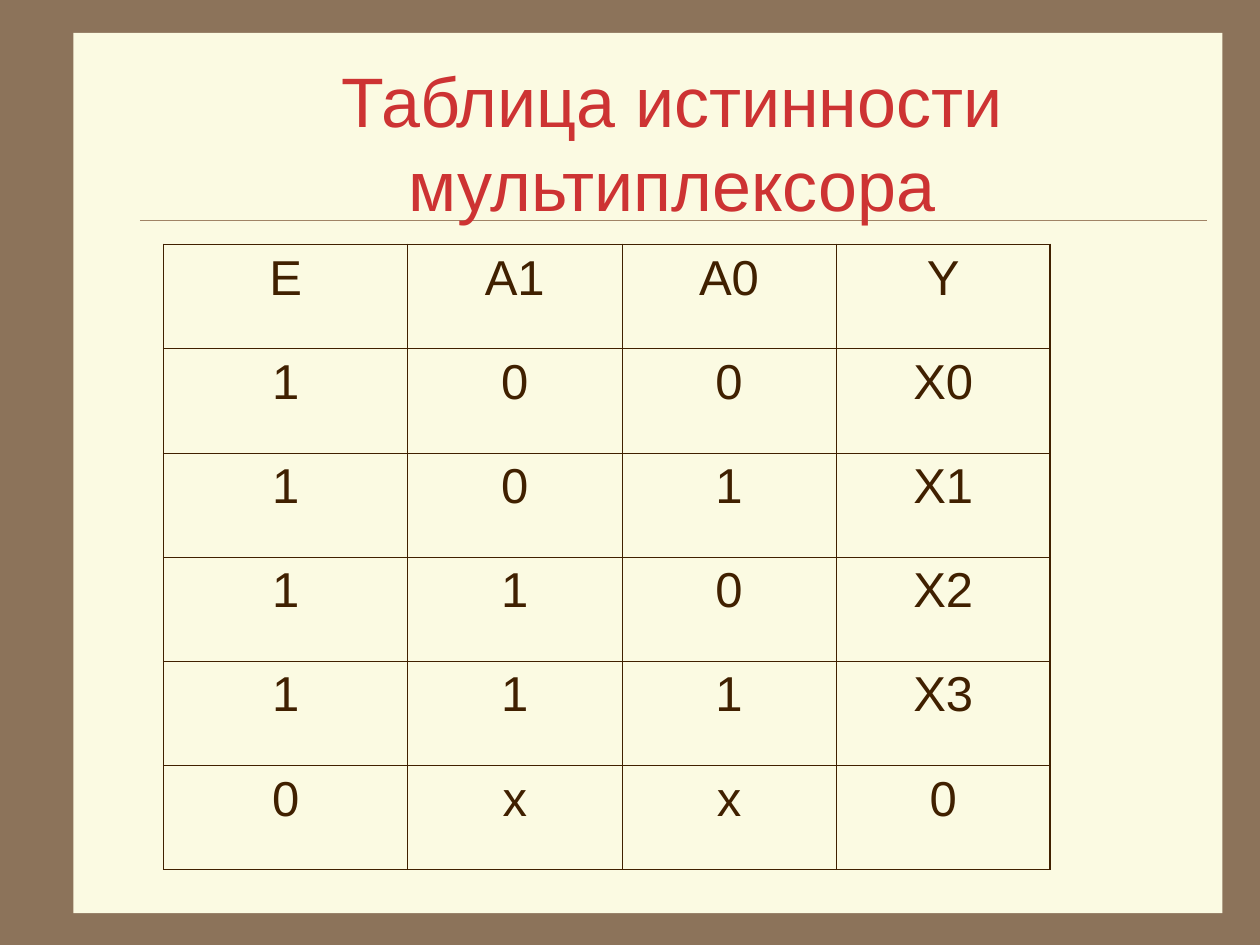
from lxml.etree import SubElement
from pptx import Presentation
from pptx.dml.color import RGBColor
from pptx.enum.shapes import MSO_CONNECTOR, MSO_SHAPE
from pptx.enum.text import MSO_ANCHOR, PP_ALIGN
from pptx.oxml.ns import qn
from pptx.util import Pt

FRAME, PAPER, RULE = "8C735A", "FBFAE2", "A08366"
TITLE, INK = "CD3333", "402000"
FONT = "Arial"
OUTER, INNER = 1.08, 0.45

TRUTH_TABLE = [
    ["E", "A1", "A0", "Y"],
    ["1", "0", "0", "X0"],
    ["1", "0", "1", "X1"],
    ["1", "1", "0", "X2"],
    ["1", "1", "1", "X3"],
    ["0", "x", "x", "0"],
]
COLUMN_WIDTHS = [139.5, 122.4, 122.4, 122.4]
ROW_HEIGHT = 59.55


def color(hex_string):
    return RGBColor.from_string(hex_string)


def write(frame, text, size, ink):
    frame.margin_left = frame.margin_right = Pt(7.2)
    frame.margin_top = frame.margin_bottom = Pt(3.6)
    frame.word_wrap = True
    paragraph = frame.paragraphs[0]
    paragraph.alignment = PP_ALIGN.CENTER
    run = paragraph.add_run()
    run.text = text
    run.font.name = FONT
    run.font.size = Pt(size)
    run.font.color.rgb = color(ink)


def add_paper(slide, left, top, width, height):
    paper = slide.shapes.add_shape(
        MSO_SHAPE.RECTANGLE, Pt(left), Pt(top), Pt(width), Pt(height))
    paper.shadow.inherit = False
    paper.fill.solid()
    paper.fill.fore_color.rgb = color(PAPER)
    paper.line.fill.background()


def add_rule(slide, left, right, y):
    rule = slide.shapes.add_connector(
        MSO_CONNECTOR.STRAIGHT, Pt(left), Pt(y), Pt(right), Pt(y))
    rule.line.color.rgb = color(RULE)
    rule.line.width = Pt(0.25)
    SubElement(rule._element.spPr, qn("a:effectLst"))


def add_title(slide, text, left, top, width, height):
    title = slide.shapes.add_textbox(Pt(left), Pt(top), Pt(width), Pt(height))
    title.text_frame.vertical_anchor = MSO_ANCHOR.MIDDLE
    write(title.text_frame, text, 40, TITLE)


def set_border(cell, side, width):
    border = SubElement(cell._tc.get_or_add_tcPr(), qn(f"a:ln{side}"),
                        w=str(Pt(width)))
    fill = SubElement(border, qn("a:solidFill"))
    SubElement(fill, qn("a:srgbClr"), val=INK)


def add_truth_table(slide, rows, left, top):
    last_row, last_column = len(rows) - 1, len(COLUMN_WIDTHS) - 1
    table = slide.shapes.add_table(
        len(rows), len(COLUMN_WIDTHS), Pt(left), Pt(top),
        Pt(sum(COLUMN_WIDTHS)), Pt(ROW_HEIGHT * len(rows))).table
    table.first_row = table.horz_banding = False
    for column, width in zip(table.columns, COLUMN_WIDTHS):
        column.width = Pt(width)
    for r, values in enumerate(rows):
        table.rows[r].height = Pt(ROW_HEIGHT)
        for c, value in enumerate(values):
            cell = table.cell(r, c)
            write(cell.text_frame, value, 28, INK)
            # Heavier lines only along the outside of the table
            on_edge = {"L": c == 0, "R": c == last_column,
                       "T": r == 0, "B": r == last_row}
            for side, outside in on_edge.items():
                set_border(cell, side, OUTER if outside else INNER)
            cell.fill.background()


def main():
    presentation = Presentation()
    presentation.slide_width, presentation.slide_height = Pt(720), Pt(540)
    slide = presentation.slides.add_slide(presentation.slide_layouts[6])

    # Framed background
    slide.background.fill.solid()
    slide.background.fill.fore_color.rgb = color(FRAME)
    add_paper(slide, 42, 18.75, 656.5, 503)
    add_rule(slide, 80, 690, 126)

    # Content
    add_title(slide, "Таблица истинности мультиплексора", 78, 36, 612, 90)
    add_truth_table(slide, TRUTH_TABLE, 93.5, 139.75)

    presentation.save("out.pptx")


if __name__ == "__main__":
    main()
